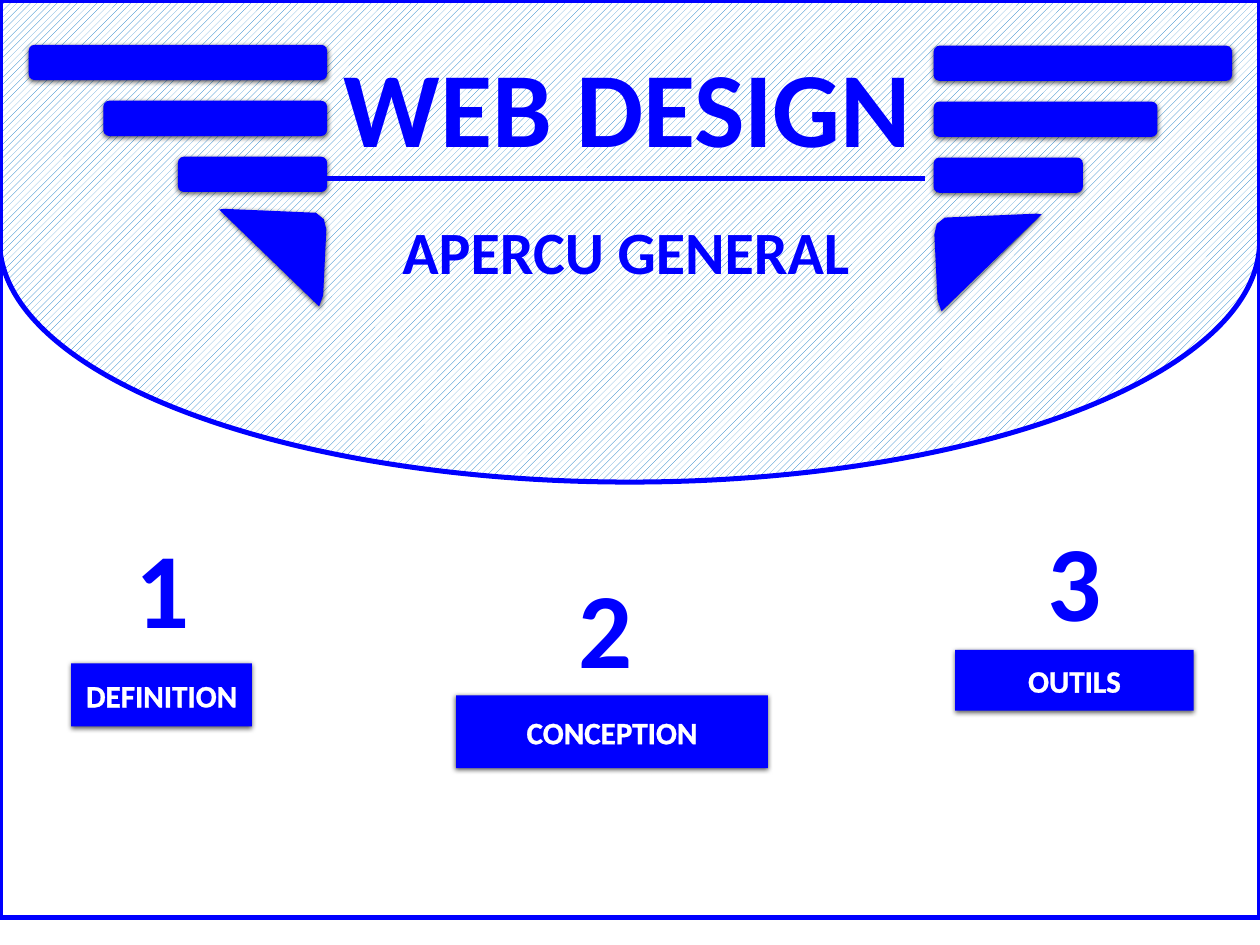
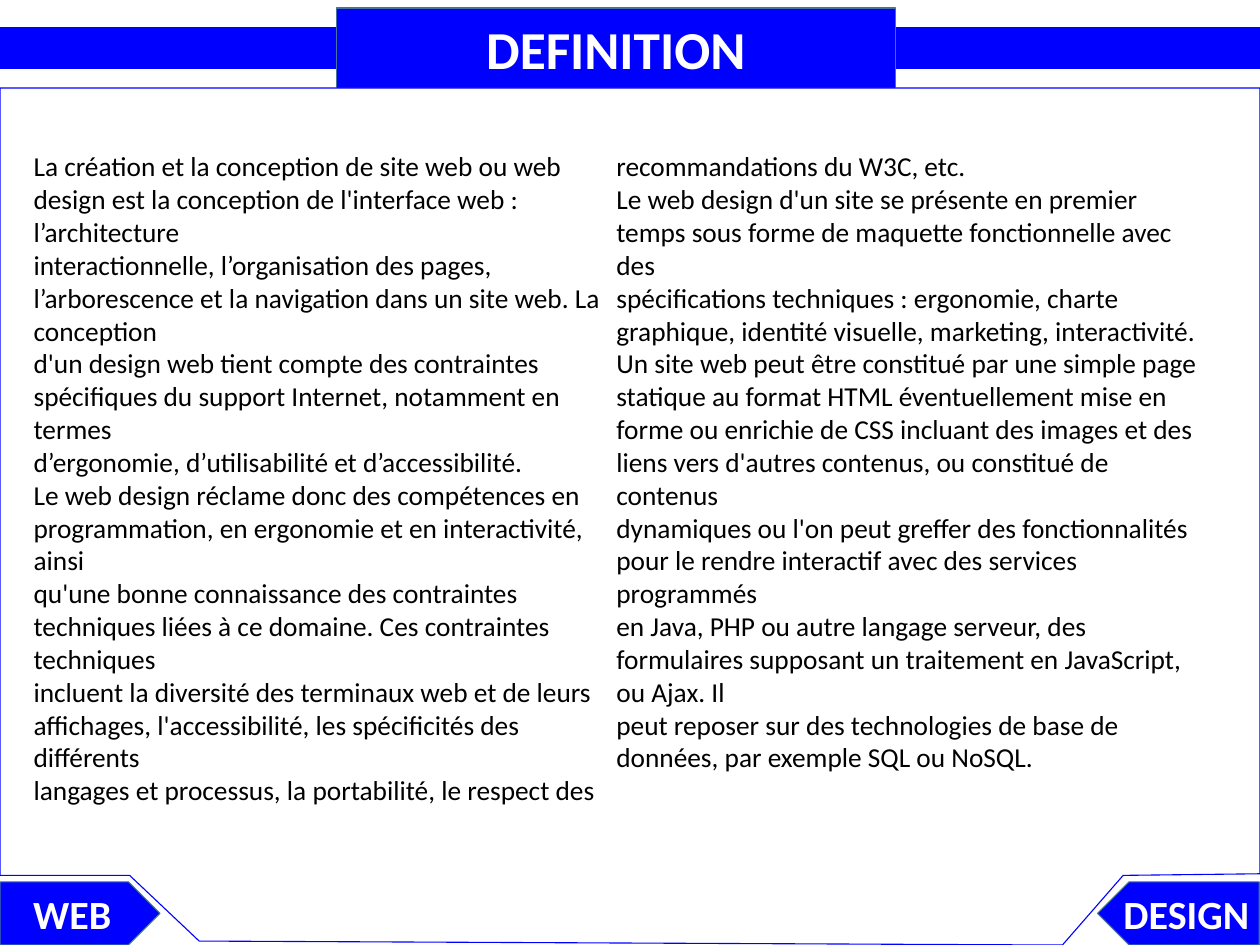
from dataclasses import dataclass
from pptx import Presentation
from pptx.dml.color import RGBColor
from pptx.enum.dml import MSO_PATTERN
from pptx.enum.shapes import MSO_CONNECTOR, MSO_SHAPE
from pptx.enum.text import MSO_ANCHOR, MSO_AUTO_SIZE, PP_ALIGN
from pptx.oxml import parse_xml
from pptx.oxml.ns import nsdecls, qn
from pptx.util import Inches, Pt


@dataclass(frozen=True)
class Theme:
    """Colours, font and type sizes of the deck."""
    blue: str = "0000FF"
    steel: str = "43739E"
    hatch: str = "0070C0"
    white: str = "FFFFFF"
    black: str = "000000"
    font: str = "Calibri"
    huge: float = 96
    large: float = 54
    head: float = 48
    tab: float = 36
    label: float = 28
    body: float = 24.6
    thick: float = 4.5
    thin: float = 1


class Deck:
    """Holds the theme and current slide; lengths are percents of the slide."""

    def __init__(self, theme):
        """Start an empty deck."""
        self.theme = theme
        self.prs = Presentation()
        self.prs.slide_width = Inches(15.75)
        self.prs.slide_height = Inches(11.81)

    def page(self, layout):
        """Add a slide and make it current."""
        self.slide = self.prs.slides.add_slide(self.prs.slide_layouts[layout])
        self.shapes = self.slide.shapes

    def point(self, x, y):
        """Turn a pair of percents into slide units."""
        return (round(self.prs.slide_width * x / 100),
                round(self.prs.slide_height * y / 100))

    def paint(self, shape, fill, line, width):
        """Set fill and line, and drop the shadow."""
        if fill:
            shape.fill.solid()
            shape.fill.fore_color.rgb = RGBColor.from_string(fill)
        else:
            shape.fill.background()
        if line:
            shape.line.color.rgb = RGBColor.from_string(line)
            shape.line.width = Pt(width)
        else:
            shape.line.fill.background()
        shape.shadow.inherit = False

    def shade(self, shape):
        """Give a shape the soft drop shadow."""
        shape.element.spPr.find(qn("a:effectLst")).append(parse_xml(
            f'<a:outerShdw {nsdecls("a")} blurRad="57150" dist="19050" dir="5400000" '
            'algn="ctr" rotWithShape="0"><a:srgbClr val="000000">'
            '<a:alpha val="63000"/></a:srgbClr></a:outerShdw>'))

    def shape(self, kind, x, y, w, h, fill=None, line=None, width=1, shade=False):
        """Add a preset shape."""
        item = self.shapes.add_shape(kind, *self.point(x, y), *self.point(w, h))
        self.paint(item, fill, line, width)
        if shade:
            self.shade(item)
        return item

    def poly(self, dots, fill, line=None, width=1, shade=False):
        """Add a closed outline."""
        dots = [self.point(x, y) for x, y in dots]
        pen = self.shapes.build_freeform(*dots[0])
        pen.add_line_segments(dots[1:], close=True)
        item = pen.convert_to_shape()
        self.paint(item, fill, line, width)
        if shade:
            self.shade(item)

    def rule(self, x, y, end, color, width):
        """Add a level line."""
        item = self.shapes.add_connector(
            MSO_CONNECTOR.STRAIGHT, *self.point(x, y), *self.point(end, y))
        item.line.color.rgb = RGBColor.from_string(color)
        item.line.width = Pt(width)
        item.element.spPr.append(parse_xml(f'<a:effectLst {nsdecls("a")}/>'))

    def label(self, item, text, size, color, bold=True, edge=False,
              align=PP_ALIGN.CENTER, anchor=MSO_ANCHOR.MIDDLE, wrap=True):
        """Put styled text into a shape."""
        frame = item.text_frame
        frame.text = text
        frame.word_wrap = wrap
        frame.auto_size = MSO_AUTO_SIZE.NONE
        frame.vertical_anchor = anchor
        for para in frame.paragraphs:
            para.alignment = align
            para.space_before = Pt(0)
            for run in para.runs:
                run.font.name = self.theme.font
                run.font.size = Pt(size)
                run.font.bold = bold
                run.font.color.rgb = RGBColor.from_string(color)
                if edge:
                    run._r.get_or_add_rPr().insert(0, parse_xml(
                        f'<a:ln {nsdecls("a")} w="9525"><a:solidFill>'
                        f'<a:srgbClr val="{self.theme.white}"/></a:solidFill></a:ln>'))

    def holder(self, index, x, y, w, h):
        """Move a placeholder into place, above what is drawn so far."""
        item = self.slide.placeholders[index]
        item.left, item.top = self.point(x, y)
        item.width, item.height = self.point(w, h)
        self.shapes.element.append(item.element)
        return item

    def digit(self, text, x, y):
        """Add a large number."""
        item = self.shapes.add_textbox(*self.point(x, y), *self.point(5.59, 14.56))
        self.label(item, text, self.theme.huge, self.theme.blue, edge=True,
                   align=PP_ALIGN.LEFT, anchor=MSO_ANCHOR.TOP, wrap=False)

    def prose(self, item, lines):
        """Fill a placeholder with plain text in two columns."""
        self.label(item, "\n".join(lines), self.theme.body, self.theme.black,
                   bold=False, align=PP_ALIGN.LEFT, anchor=MSO_ANCHOR.TOP)
        item.text_frame.auto_size = MSO_AUTO_SIZE.SHAPE_TO_FIT_TEXT
        item.element.txBody.bodyPr.set("numCol", "2")
        for para in item.text_frame.paragraphs:
            props = para._p.get_or_add_pPr()
            props.set("marL", "0")
            props.set("indent", "0")
            props.append(parse_xml(f'<a:buNone {nsdecls("a")}/>'))


theme = Theme()
deck = Deck(theme)

deck.page(0)
dome = deck.shape(MSO_SHAPE.FLOWCHART_DELAY, 30.86, -41.15, 38.22, 133.36,
                  theme.white, theme.blue, theme.thick)
dome.rotation = 90
dome.fill.patterned()
dome.fill.pattern = MSO_PATTERN.PERCENT_20
dome.fill.fore_color.rgb = RGBColor.from_string(theme.hatch)
dome.fill.back_color.rgb = RGBColor.from_string(theme.white)

STEP = 5.92
MIRROR = 100.06
EDGE = 74.1
TIP = [(74.73, 32.94), (74.41, 31.75), (74.16, 24.81), (74.35, 23.71),
       (74.98, 23.03), (82.29, 22.61), (82.67, 22.69)]
for left in (False, True):
    for row in range(3):
        wide = STEP * (4 - row)
        kind = MSO_SHAPE.ROUNDED_RECTANGLE if row else MSO_SHAPE.FLOWCHART_ALTERNATE_PROCESS
        deck.shape(kind, MIRROR - EDGE - wide if left else EDGE,
                   (4.74 if left else 4.83) + STEP * row, wide, 3.73,
                   theme.blue, shade=True)
    tip = [(MIRROR - x, y - 0.51) for x, y in TIP] if left else TIP
    deck.poly(tip, theme.blue, shade=True)

title = deck.holder(0, 26.22, 5.25, 47.17, 11.77)
deck.label(title, "WEB DESIGN", theme.huge, theme.blue, edge=True)
under = deck.holder(1, 25.78, 20.66, 47.81, 11.77)
deck.label(under, "APERCU GENERAL", theme.large, theme.blue, edge=True)

PARTS = [
    ("DEFINITION", (10.1, 54.78), (5.65, 70.19, 14.35, 6.69)),
    ("CONCEPTION", (45.33, 59.02), (36.19, 73.58, 24.76, 7.71)),
    ("OUTILS", (82.48, 54.02), (75.81, 68.76, 18.92, 6.44)),
]
for rank, (name, spot, box) in enumerate(PARTS, 1):
    deck.digit(str(rank), *spot)
    plate = deck.shape(MSO_SHAPE.RECTANGLE, *box, theme.blue, shade=True)
    deck.label(plate, name, theme.label, theme.white, edge=True)
deck.shape(MSO_SHAPE.RECTANGLE, 0, 0, 100, 97.12, None, theme.blue, theme.thick)
deck.rule(25.65, 18.88, 73.4, theme.blue, theme.thick)

deck.page(1)
for name, x, wide in (("DESIGN", 87.11, 12.83), ("WEB", 0, 12.7)):
    tab = deck.shape(MSO_SHAPE.PENTAGON, x, 93.31, wide, 6.69,
                     theme.blue, theme.steel, theme.thin)
    deck.label(tab, name, theme.tab, theme.white)
    if x:
        tab.element.spPr.find(qn("a:xfrm")).set("flipH", "1")
deck.shape(MSO_SHAPE.RECTANGLE, 0, 2.88, 100, 4.32, theme.blue, theme.blue, theme.thin)
title = deck.holder(0, 26.73, 0.85, 44.32, 8.47)
deck.paint(title, theme.blue, theme.steel, theme.thin)
deck.label(title, "DEFINITION", theme.head, theme.white)
deck.poly([(0, 9.31), (100, 9.31), (100, 92.46), (89.14, 92.63), (84.32, 100),
           (15.81, 99.58), (10.29, 92.63), (0, 92.63)],
          theme.white, theme.blue, theme.thin)
deck.prose(deck.holder(1, 2.03, 15.41, 93.78, 70.87), [
    "La création et la conception de site web ou web design est la conception de l'interface web : l’architecture",
    "interactionnelle, l’organisation des pages, l’arborescence et la navigation dans un site web. La conception",
    "d'un design web tient compte des contraintes spécifiques du support Internet, notamment en termes",
    "d’ergonomie, d’utilisabilité et d’accessibilité.",
    "Le web design réclame donc des compétences en programmation, en ergonomie et en interactivité, ainsi",
    "qu'une bonne connaissance des contraintes techniques liées à ce domaine. Ces contraintes techniques",
    "incluent la diversité des terminaux web et de leurs affichages, l'accessibilité, les spécificités des différents",
    "langages et processus, la portabilité, le respect des recommandations du W3C, etc.",
    "Le web design d'un site se présente en premier temps sous forme de maquette fonctionnelle avec des",
    "spécifications techniques : ergonomie, charte graphique, identité visuelle, marketing, interactivité.",
    "Un site web peut être constitué par une simple page statique au format HTML éventuellement mise en",
    "forme ou enrichie de CSS incluant des images et des liens vers d'autres contenus, ou constitué de contenus",
    "dynamiques ou l'on peut greffer des fonctionnalités pour le rendre interactif avec des services programmés",
    "en Java, PHP ou autre langage serveur, des formulaires supposant un traitement en JavaScript, ou Ajax. Il",
    "peut reposer sur des technologies de base de données, par exemple SQL ou NoSQL.",
])
deck.prs.save("out.pptx")
